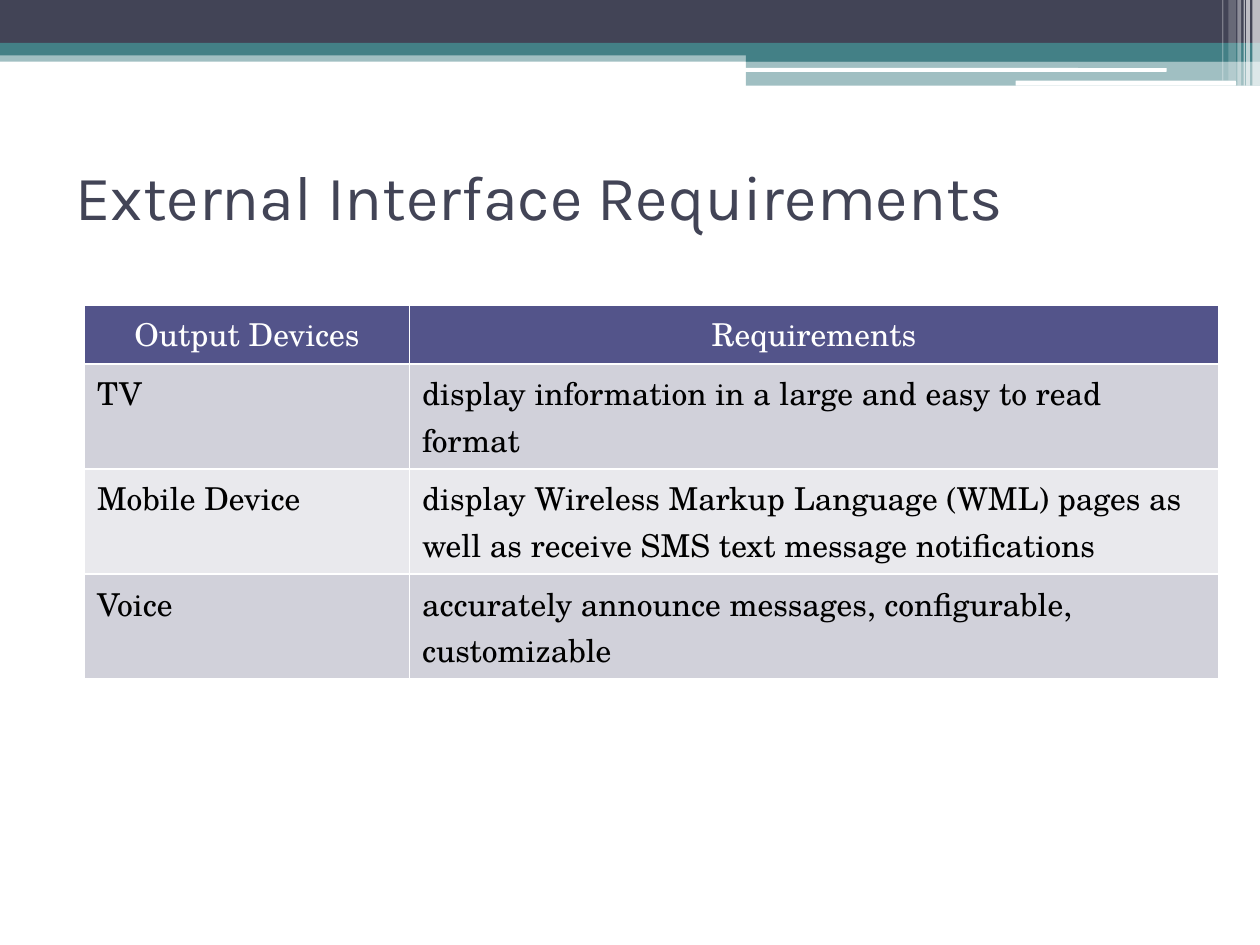
import pptx
import pptx.util
import pptx.dml.color
import pptx.enum.shapes
import pptx.enum.text
import pptx.oxml.ns
from lxml import etree

Inches = pptx.util.Inches
Pt = pptx.util.Pt
RGBColor = pptx.dml.color.RGBColor
MSO_SHAPE = pptx.enum.shapes.MSO_SHAPE
PP_ALIGN = pptx.enum.text.PP_ALIGN
MSO_ANCHOR = pptx.enum.text.MSO_ANCHOR
qn = pptx.oxml.ns.qn

SLATE = RGBColor(0x42, 0x44, 0x56)
TEAL = RGBColor(0x43, 0x80, 0x86)
WHITE = RGBColor(0xFF, 0xFF, 0xFF)
BLACK = RGBColor(0, 0, 0)
INDIGO = RGBColor(0x53, 0x54, 0x8A)
BAND_DARK = RGBColor(0xD1, 0xD1, 0xDA)
BAND_LIGHT = RGBColor(0xE9, 0xE9, 0xED)
TITLE_FONT = "Karla"
TABLE_FONT = "TeX Gyre Schola"

HEADER_BANDS = [
    (0, 0.4, 10, 0.09, TEAL, 50),
    (0, 0, 10, 0.34, SLATE, 100),
    (0, 0.34, 10, 0.1, TEAL, 100),
    (5.92, 0.39, 4.08, 0.1, TEAL, 100),
    (5.92, 0.48, 4.08, 0.2, TEAL, 50),
]
HEADER_RULES = [(5.91, 0.54, 3.35, 0.03), (8.06, 0.64, 1.75, 0.04)]
EDGE_STRIPES = [
    (9.94, 0.06, 0.68, 65),
    (9.89, 0.03, 0.68, 65),
    (9.87, 0.01, 0.68, 60),
    (9.82, 0.03, 0.68, 40),
    (9.75, 0.06, 0.64, 20),
    (9.7, 0.01, 0.64, 30),
]
COLUMN_WIDTHS = [2.58, 6.42]
ROW_HEIGHTS = [0.46, 0.83, 0.83, 0.83]
TABLE_ROWS = [
    ("Output Devices", "Requirements"),
    ("TV", "display information in a large and easy to read format"),
    ("Mobile Device", "display Wireless Markup Language (WML) pages "
                      "as well as receive SMS text message notifications"),
    ("Voice", "accurately announce messages, configurable, customizable"),
]


def add_bar(slide, left, top, width, height, color, opacity=100,
            kind=MSO_SHAPE.RECTANGLE):
    shape = slide.shapes.add_shape(
        kind, Inches(left), Inches(top), Inches(width), Inches(height))
    shape.shadow.inherit = False
    shape.line.fill.background()
    shape.fill.solid()
    shape.fill.fore_color.rgb = color
    if opacity < 100:
        color_element = shape._element.spPr.find(qn("a:solidFill"))[0]
        alpha = etree.SubElement(color_element, qn("a:alpha"))
        alpha.set("val", str(opacity * 1000))
    return shape


def add_header(slide):
    for left, top, width, height, color, opacity in HEADER_BANDS:
        add_bar(slide, left, top, width, height, color, opacity)
    for left, top, width, height in HEADER_RULES:
        add_bar(slide, left, top, width, height, WHITE,
                kind=MSO_SHAPE.ROUNDED_RECTANGLE)
    for left, width, height, opacity in EDGE_STRIPES:
        add_bar(slide, left, 0, width, height, WHITE, opacity)


def add_run(paragraph, text, font_name, size, color):
    run = paragraph.add_run()
    run.text = text
    run.font.name = font_name
    run.font.size = Pt(size)
    run.font.bold = False
    run.font.color.rgb = color


def set_title(slide, text):
    title = slide.shapes.title
    title.left, title.top = Inches(0.5), Inches(1.25)
    title.width, title.height = Inches(9), Inches(1.17)
    frame = title.text_frame
    frame.word_wrap = True
    frame.margin_top = 0
    frame.vertical_anchor = MSO_ANCHOR.TOP
    paragraph = frame.paragraphs[0]
    paragraph.alignment = PP_ALIGN.LEFT
    add_run(paragraph, text, TITLE_FONT, 36, SLATE)


def set_borders(cell, color, width):
    properties = cell._tc.get_or_add_tcPr()
    for index, side in enumerate(("a:lnL", "a:lnR", "a:lnT", "a:lnB")):
        line = etree.Element(qn(side), w=str(Pt(width)))
        fill = etree.SubElement(line, qn("a:solidFill"))
        etree.SubElement(fill, qn("a:srgbClr"), val=str(color))
        properties.insert(index, line)


def fill_cell(cell, text, is_header, background):
    cell.fill.solid()
    cell.fill.fore_color.rgb = background
    set_borders(cell, WHITE, 1)
    paragraph = cell.text_frame.paragraphs[0]
    paragraph.alignment = PP_ALIGN.CENTER if is_header else PP_ALIGN.LEFT
    add_run(paragraph, text, TABLE_FONT, 18, WHITE if is_header else BLACK)


def add_requirements_table(slide):
    frame = slide.shapes.add_table(
        len(TABLE_ROWS), len(COLUMN_WIDTHS), Inches(0.67), Inches(2.42),
        Inches(sum(COLUMN_WIDTHS)), Inches(sum(ROW_HEIGHTS)))
    table = frame.table
    for column, width in zip(table.columns, COLUMN_WIDTHS):
        column.width = Inches(width)
    for row_index, texts in enumerate(TABLE_ROWS):
        table.rows[row_index].height = Inches(ROW_HEIGHTS[row_index])
        is_header = row_index == 0
        band = BAND_DARK if row_index % 2 else BAND_LIGHT
        for column_index, text in enumerate(texts):
            fill_cell(table.cell(row_index, column_index), text, is_header,
                      INDIGO if is_header else band)


def main():
    presentation = pptx.Presentation()
    presentation.slide_width = Inches(10)
    presentation.slide_height = Inches(7.5)
    slide = presentation.slides.add_slide(presentation.slide_layouts[5])
    add_header(slide)
    set_title(slide, "External Interface Requirements")
    add_requirements_table(slide)
    presentation.save("out.pptx")


main()
